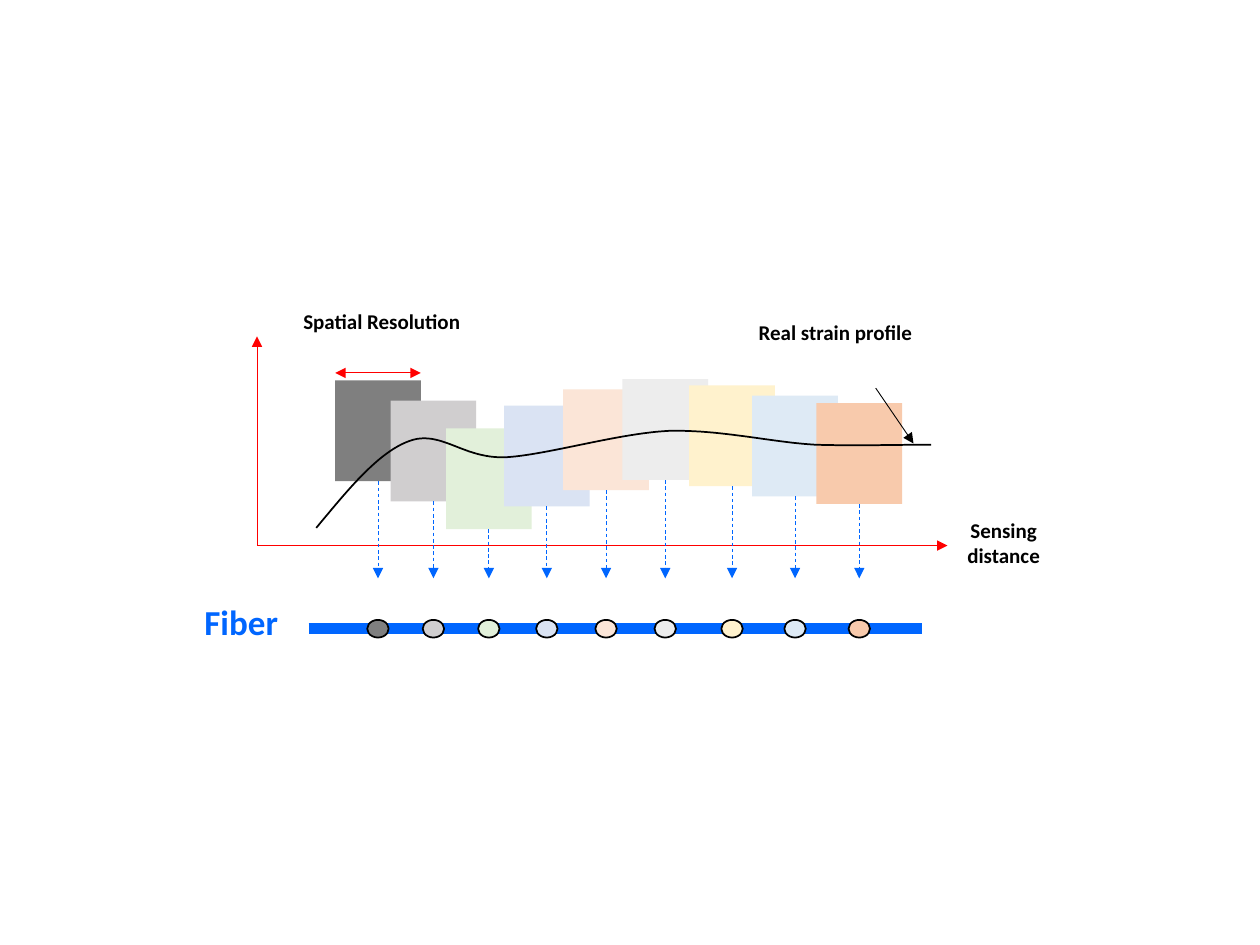
from lxml.etree import SubElement
from pptx import Presentation
from pptx.dml.color import RGBColor
from pptx.enum.dml import MSO_LINE
from pptx.enum.shapes import MSO_CONNECTOR, MSO_SHAPE
from pptx.enum.text import MSO_AUTO_SIZE, PP_ALIGN
from pptx.oxml.ns import qn
from pptx.util import Inches, Pt

BLOCKS = [
    (2.66, 3.02, "7F7F7F"),
    (3.1, 3.18, "D0CECF"),
    (3.54, 3.4, "E2F0DA"),
    (4, 3.22, "DAE3F3"),
    (4.47, 3.09, "FBE5D7"),
    (4.94, 3.01, "EDEDED"),
    (5.47, 3.06, "FFF2CD"),
    (5.97, 3.14, "DEEAF5"),
    (6.48, 3.2, "F8CAAC"),
]
BLOCK_WIDTH, BLOCK_HEIGHT = 0.68, 0.8
DOT_WIDTH, DOT_HEIGHT = 0.17, 0.14
FIBER_Y = 4.99
ARROW_END_Y = 4.59
AXIS_ORIGIN = (2.04, 4.33)
PROFILE_START = (2.51, 4.19)
PROFILE_CURVES = [
    ((2.76, 3.89), (3, 3.59), (3.25, 3.5)),
    ((3.5, 3.41), (3.67, 3.64), (4.01, 3.63)),
    ((4.35, 3.61), (4.9, 3.44), (5.31, 3.42)),
    ((5.72, 3.41), (6.12, 3.51), (6.47, 3.53)),
    ((6.82, 3.54), (7.1, 3.53), (7.39, 3.53)),
]


def color(value):
    return RGBColor.from_string(value)


def write_text(text_frame, text, size=12, fill="000000", font="Calibri", bold=True):
    paragraph = text_frame.paragraphs[0]
    paragraph.alignment = PP_ALIGN.CENTER
    run = paragraph.add_run()
    run.text = text
    run.font.name = font
    run.font.size = Pt(size)
    run.font.bold = bold
    run.font.color.rgb = color(fill)


def curve_points(start, curves, steps=24):
    points = [start]
    for first, second, end in curves:
        origin = points[-1]
        for step in range(1, steps + 1):
            t = step / steps
            u = 1 - t
            points.append(tuple(
                u**3 * a + 3 * u * u * t * b + 3 * u * t * t * c + t**3 * d
                for a, b, c, d in zip(origin, first, second, end)
            ))
    return points


class DiagramSlide:
    black = "000000"
    blue = "0066FF"
    red = "FF0000"

    def __init__(self, presentation):
        self.slide = presentation.slides.add_slide(presentation.slide_layouts[6])
        self.shapes = self.slide.shapes

    def label(self, text, left, top, width, height, **text_format):
        box = self.shapes.add_textbox(Inches(left), Inches(top), Inches(width), Inches(height))
        box.text_frame.word_wrap = True
        box.text_frame.auto_size = MSO_AUTO_SIZE.SHAPE_TO_FIT_TEXT
        write_text(box.text_frame, text, **text_format)

    def shape(self, kind, left, top, width, height, fill, outline=None):
        shape = self.shapes.add_shape(kind, Inches(left), Inches(top), Inches(width), Inches(height))
        shape.shadow.inherit = False
        shape.fill.solid()
        shape.fill.fore_color.rgb = color(fill)
        if outline:
            shape.line.color.rgb = color(outline)
            shape.line.width = Pt(1)
        else:
            shape.line.fill.background()
        return shape

    def line(self, start, end, stroke, width=0.5, dashed=False, head=False, tail=True, source=None):
        connector = self.shapes.add_connector(
            MSO_CONNECTOR.STRAIGHT, *[Inches(value) for value in (*start, *end)]
        )
        if source is not None:
            connector.begin_connect(source, 2)
        connector.line.color.rgb = color(stroke)
        connector.line.width = Pt(width)
        if dashed:
            connector.line.dash_style = MSO_LINE.DASH
        properties = connector.line._get_or_add_ln()
        for tag, shown in (("a:headEnd", head), ("a:tailEnd", tail)):
            if shown:
                SubElement(properties, qn(tag), type="triangle")
        SubElement(connector._element.spPr, qn("a:effectLst"))

    def curve(self, points):
        scaled = [(Inches(x), Inches(y)) for x, y in points]
        builder = self.shapes.build_freeform(*scaled[0])
        builder.add_line_segments(scaled[1:], close=False)
        shape = builder.convert_to_shape()
        shape.shadow.inherit = False
        shape.fill.background()
        shape.line.color.rgb = color(self.black)
        shape.line.width = Pt(1)


def main():
    presentation = Presentation()
    presentation.slide_width = Inches(10)
    presentation.slide_height = Inches(7.5)
    diagram = DiagramSlide(presentation)

    diagram.line((2.45, FIBER_Y), (7.32, FIBER_Y), diagram.blue, width=6, tail=False)
    for axis_end in ((AXIS_ORIGIN[0], 2.67), (7.52, AXIS_ORIGIN[1])):
        diagram.line(AXIS_ORIGIN, axis_end, diagram.red)

    for left, top, fill in BLOCKS:
        center = left + BLOCK_WIDTH / 2
        block = diagram.shape(MSO_SHAPE.RECTANGLE, left, top, BLOCK_WIDTH, BLOCK_HEIGHT, fill)
        diagram.line((center, top + BLOCK_HEIGHT), (center, ARROW_END_Y), diagram.blue,
                     dashed=True, source=block)
        diagram.shape(MSO_SHAPE.OVAL, center - DOT_WIDTH / 2, FIBER_Y - DOT_HEIGHT / 2,
                      DOT_WIDTH, DOT_HEIGHT, fill, outline=diagram.black)

    diagram.curve(curve_points(PROFILE_START, PROFILE_CURVES))
    diagram.line((6.95, 3.08), (7.25, 3.52), diagram.black)
    diagram.line((2.66, 2.96), (3.34, 2.96), diagram.red, head=True)

    diagram.label("Real strain profile", 5.34, 2.49, 2.58, 0.3)
    diagram.label("Spatial Resolution", 1.74, 2.4, 2.58, 0.3)
    diagram.label("Fiber", 1.33, 4.72, 1.17, 0.44, size=20, fill=diagram.blue)
    diagram.label("Sensing distance", 7.32, 4.06, 1.29, 0.54)

    presentation.save("out.pptx")


if __name__ == "__main__":
    main()
